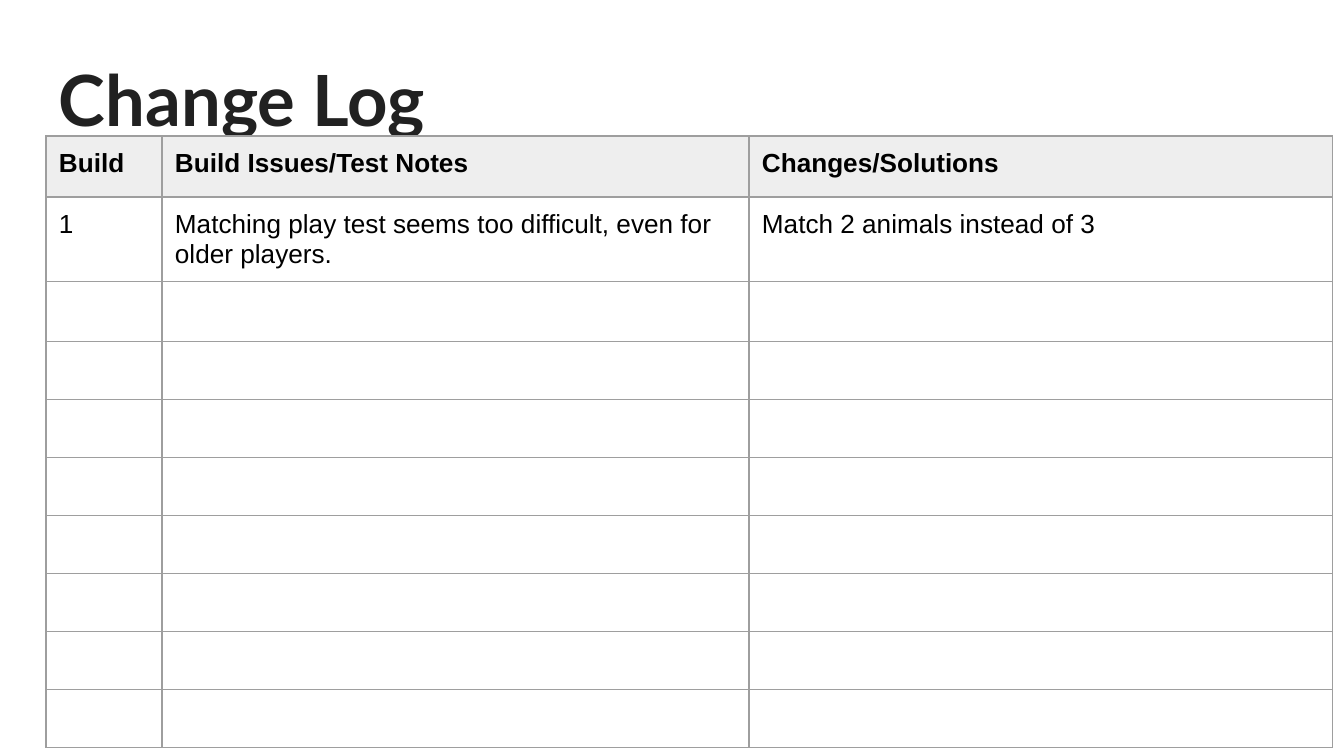
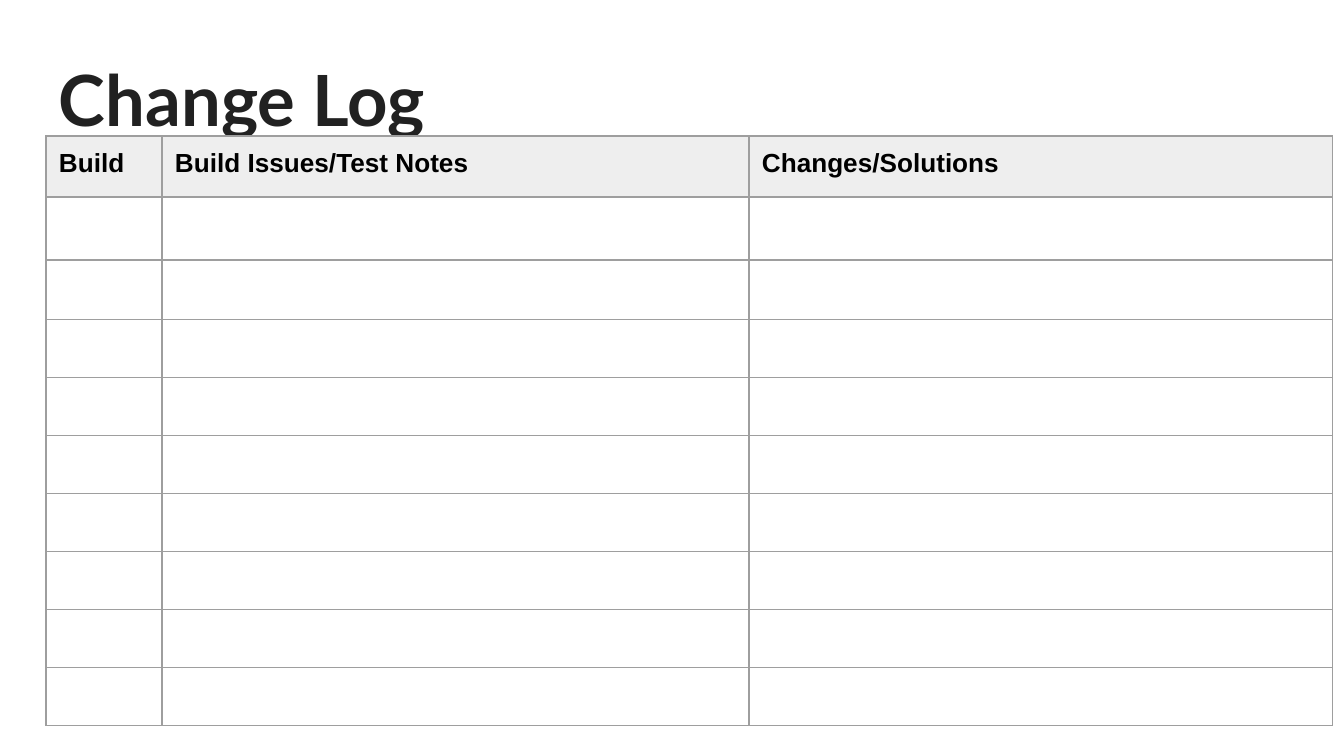
from lxml.etree import SubElement
from pptx import Presentation
from pptx.dml.color import RGBColor
from pptx.enum.text import MSO_ANCHOR, MSO_AUTO_SIZE, PP_ALIGN
from pptx.oxml import parse_xml
from pptx.oxml.ns import nsdecls, qn
from pptx.util import Pt

HEADING = "Change Log"
HEADERS = ("Build", "Build Issues/Test Notes", "Changes/Solutions")
BUILD_LOGS = [
    [("1", "Matching play test seems too difficult, even for older players.",
      "Match 2 animals instead of 3")],
    [],
]

PX = 914400 / 134.4
SLIDE_SIZE = (1344, 756)
HEADING_BOX = (46, 43, 1253, 118)
LOG_LEFT, LOG_TOP = 46, 136
COLUMN_WIDTHS = (116, 587, 584)
ROW_HEIGHTS = (61, 63, 60) + (58,) * 7
INSET = 13

HEADING_INK, LOG_INK = "212121", "000000"
HEADER_FILL, GRID = "EEEEEE", "9E9E9E"
HEADING_SIZE, LOG_SIZE, GRID_WIDTH = 37.8, 14, 0.75


def px(length):
    return round(length * PX)


def color(hex_code):
    return RGBColor.from_string(hex_code)


def write(paragraph, text, font_name, size, ink, bold):
    run = paragraph.add_run()
    run.text = text
    run.font.name = font_name
    run.font.size = Pt(size)
    run.font.bold = bold
    run.font.color.rgb = color(ink)


def set_insets(frame):
    frame.margin_left = frame.margin_top = px(INSET)
    frame.margin_right = frame.margin_bottom = px(INSET)


def draw_grid(cell):
    properties = cell._tc.get_or_add_tcPr()
    for position, side in enumerate("LRTB"):
        properties.insert(position, parse_xml(
            f'<a:ln{side} {nsdecls("a")} w="{Pt(GRID_WIDTH)}">'
            f'<a:solidFill><a:srgbClr val="{GRID}"/></a:solidFill>'
            f'</a:ln{side}>'))


def fill_cell(cell, text, is_header):
    set_insets(cell)
    cell.vertical_anchor = MSO_ANCHOR.TOP
    draw_grid(cell)
    if is_header:
        cell.fill.solid()
        cell.fill.fore_color.rgb = color(HEADER_FILL)
    else:
        cell.fill.background()
    paragraph = cell.text_frame.paragraphs[0]
    if text:
        write(paragraph, text, "Arial", LOG_SIZE, LOG_INK, is_header)
    else:
        SubElement(paragraph._p, qn("a:endParaRPr"), sz=str(LOG_SIZE * 100))


def add_heading(slide):
    heading = slide.shapes.title
    heading.left, heading.top, heading.width, heading.height = map(px, HEADING_BOX)
    frame = heading.text_frame
    set_insets(frame)
    frame.word_wrap = True
    frame.auto_size = MSO_AUTO_SIZE.NONE
    frame.vertical_anchor = MSO_ANCHOR.TOP
    frame.paragraphs[0].alignment = PP_ALIGN.LEFT
    write(frame.paragraphs[0], HEADING, "Lato", HEADING_SIZE, HEADING_INK, True)


def add_log(slide, entries):
    log = slide.shapes.add_table(
        len(ROW_HEIGHTS), len(COLUMN_WIDTHS), px(LOG_LEFT), px(LOG_TOP),
        px(sum(COLUMN_WIDTHS)), px(sum(ROW_HEIGHTS))).table
    log.first_row = log.horz_banding = False
    for column, width in zip(log.columns, COLUMN_WIDTHS):
        column.width = px(width)
    blanks = [("",) * len(HEADERS)] * (len(ROW_HEIGHTS) - 1 - len(entries))
    lines = [HEADERS, *entries, *blanks]
    for index, (row, height, texts) in enumerate(zip(log.rows, ROW_HEIGHTS, lines)):
        row.height = px(height)
        for cell, text in zip(row.cells, texts):
            fill_cell(cell, text, index == 0)


def main():
    deck = Presentation()
    deck.slide_width, deck.slide_height = map(px, SLIDE_SIZE)
    for entries in BUILD_LOGS:
        slide = deck.slides.add_slide(deck.slide_layouts[5])
        add_heading(slide)
        add_log(slide, entries)
    deck.save("out.pptx")


if __name__ == "__main__":
    main()
